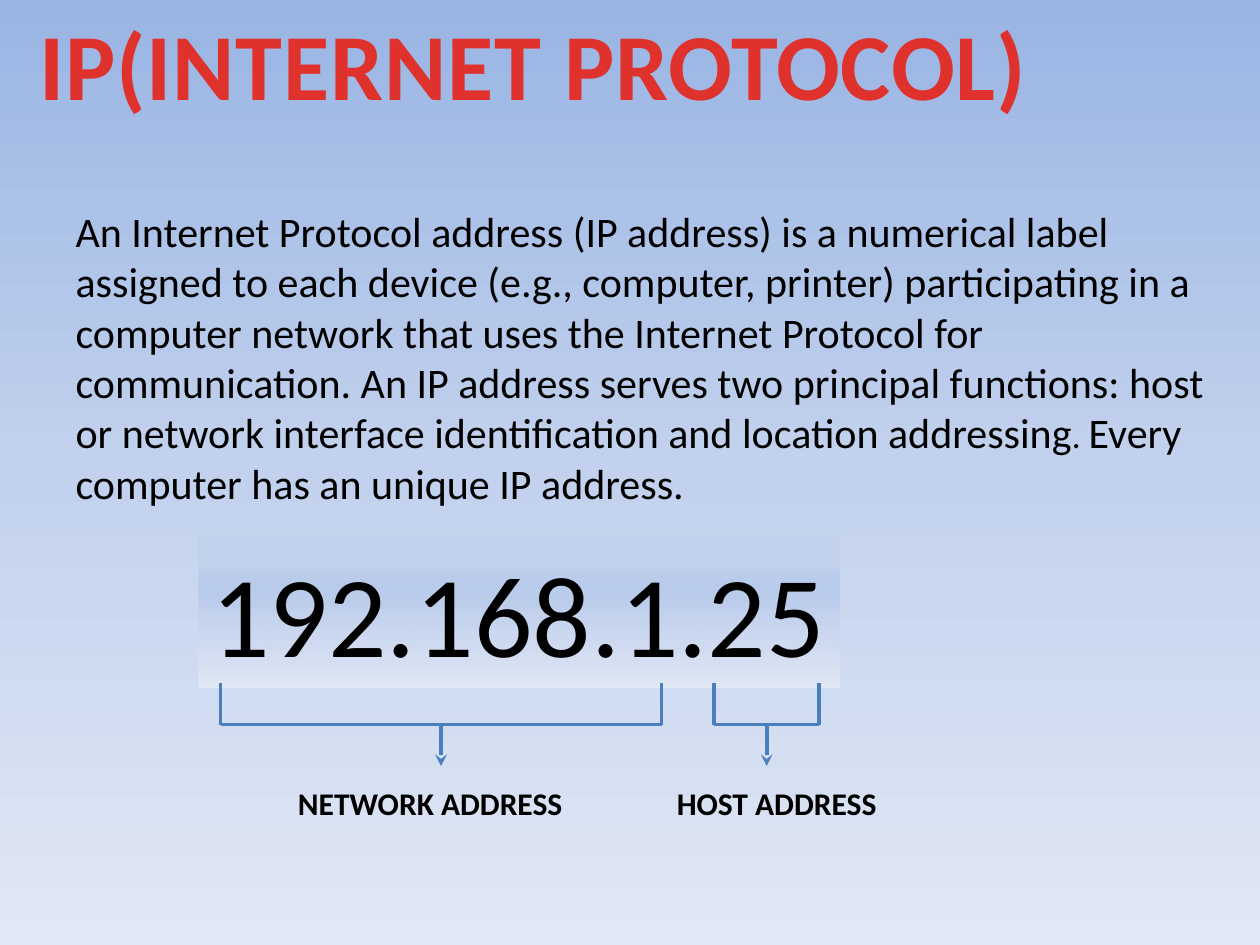
from lxml.etree import SubElement
from pptx import Presentation
from pptx.dml.color import RGBColor
from pptx.enum.shapes import MSO_CONNECTOR, MSO_SHAPE
from pptx.enum.text import MSO_ANCHOR, PP_ALIGN
from pptx.oxml.ns import qn
from pptx.util import Inches, Pt

COLORS = {
    "sky": "9AB5E4", "mist": "C2D1ED", "haze": "E1E8F5",
    "red": "E0322D", "maroon": "A2201C", "ink": "000000", "bracket": "4B7EBC",
}
FONT = "Calibri"
DEFINITION = [
    ("An Internet Protocol address (IP address) is a numerical label assigned to each "
     "device (e.g., computer, printer) participating in a computer network that uses "
     "the Internet Protocol for communication. An IP address serves two principal "
     "functions: host or network interface identification and location addressing", 24),
    (". ", 20),
    ("Every computer has an unique IP address.", 24),
]


def paint_gradient(fill, element, stops):
    """Give a fill a top-to-bottom gradient of (position, colour, opacity) stops."""
    fill.gradient()
    fill.gradient_angle = 270
    stop_list = element.find(".//" + qn("a:gsLst"))
    for old_stop in list(stop_list):
        stop_list.remove(old_stop)
    for position, color, opacity in stops:
        stop = SubElement(stop_list, qn("a:gs"), pos=str(position * 1000))
        rgb = SubElement(stop, qn("a:srgbClr"), val=COLORS[color])
        if opacity < 100:
            SubElement(rgb, qn("a:alpha"), val=str(opacity * 1000))


def style_run(run, size, bold=False):
    """Set the font, size, weight and ink colour of a run."""
    run.font.name = FONT
    run.font.size = Pt(size)
    run.font.bold = bold
    run.font.color.rgb = RGBColor.from_string(COLORS["ink"])


def place(shape, box):
    """Move a shape to a (left, top, width, height) box in inches."""
    shape.left, shape.top, shape.width, shape.height = map(Inches, box)


def add_heading(slide, box):
    """Fill the title placeholder with the red heading."""
    heading = slide.shapes.title
    place(heading, box)
    frame = heading.text_frame
    frame.text = "IP(INTERNET PROTOCOL)"
    frame.word_wrap = False
    frame.vertical_anchor = MSO_ANCHOR.TOP
    frame.paragraphs[0].alignment = PP_ALIGN.CENTER
    run = frame.paragraphs[0].runs[0]
    style_run(run, 54, bold=True)
    run.font._element.set("spc", "50")
    paint_gradient(run.font.fill, run.font._element,
                   [(25, "red", 100), (100, "maroon", 100)])


def add_definition(slide, box):
    """Fill the body placeholder with the unbulleted definition."""
    definition = slide.placeholders[1]
    place(definition, box)
    paragraph = definition.text_frame.paragraphs[0]
    paragraph.space_before = Pt(0)
    properties = paragraph._p.get_or_add_pPr()
    properties.set("marL", "0")
    properties.set("indent", "0")
    SubElement(properties, qn("a:buNone"))
    for text, size in DEFINITION:
        run = paragraph.add_run()
        run.text = text
        style_run(run, size)


def add_address(slide, box):
    """Draw the panel with the sample address."""
    address = slide.shapes.add_shape(MSO_SHAPE.RECTANGLE, *map(Inches, box))
    address.shadow.inherit = False
    address.line.fill.background()
    paint_gradient(address.fill, address._element,
                   [(18, "sky", 9), (50, "mist", 100), (100, "haze", 100)])
    address.text_frame.text = "192.168.1.25"
    address.text_frame.vertical_anchor = MSO_ANCHOR.TOP
    paragraph = address.text_frame.paragraphs[0]
    paragraph.alignment = PP_ALIGN.LEFT
    style_run(paragraph.runs[0], 66)


def add_line(slide, start, end, arrow=False):
    """Draw one bracket line, with an optional arrowhead at its start."""
    line = slide.shapes.add_connector(
        MSO_CONNECTOR.STRAIGHT, *map(Inches, (*start, *end)))
    line.line.color.rgb = RGBColor.from_string(COLORS["bracket"])
    line.line.width = Pt(2.25)
    if arrow:
        SubElement(line.line._get_or_add_ln(), qn("a:headEnd"), type="stealth")
    SubElement(line._element.spPr, qn("a:effectLst"))


def add_bracket(slide, box):
    """Draw a bracket in the upper half of the box and an arrow in the lower half."""
    left, top, width, height = box
    right, middle, bar = left + width, left + width / 2, top + height / 2
    add_line(slide, (left, bar), (right, bar))
    for side in (left, right):
        add_line(slide, (side, bar), (side, top))
    add_line(slide, (middle, top + height), (middle, bar), arrow=True)


def add_label(slide, text, box):
    """Write the bold name of an address part."""
    label = slide.shapes.add_textbox(*map(Inches, box))
    label.text_frame.word_wrap = True
    label.text_frame.text = text
    paragraph = label.text_frame.paragraphs[0]
    paragraph.alignment = PP_ALIGN.CENTER
    style_run(paragraph.runs[0], 18, bold=True)


def main():
    """Build and save the slide."""
    deck = Presentation()
    deck.slide_width, deck.slide_height = Inches(10), Inches(7.5)
    slide = deck.slides.add_slide(deck.slide_layouts[1])
    paint_gradient(slide.background.fill, slide._element,
                   [(0, "sky", 100), (50, "mist", 100), (100, "haze", 100)])
    add_definition(slide, (0.5, 1.58, 9.17, 2.52))
    add_heading(slide, (0.17, 0, 8.13, 1.01))
    add_address(slide, (1.58, 4.25, 5.08, 1.21))
    parts = [
        ("NETWORK ADDRESS", 1.75, 3.5, 2.08, 2.67),
        ("HOST ADDRESS", 5.67, 0.83, 5, 2.33),
    ]
    for name, left, width, label_left, label_width in parts:
        add_bracket(slide, (left, 5.42, width, 0.66))
        add_label(slide, name, (label_left, 6.17, label_width, 0.4))
    deck.save("out.pptx")


if __name__ == "__main__":
    main()
